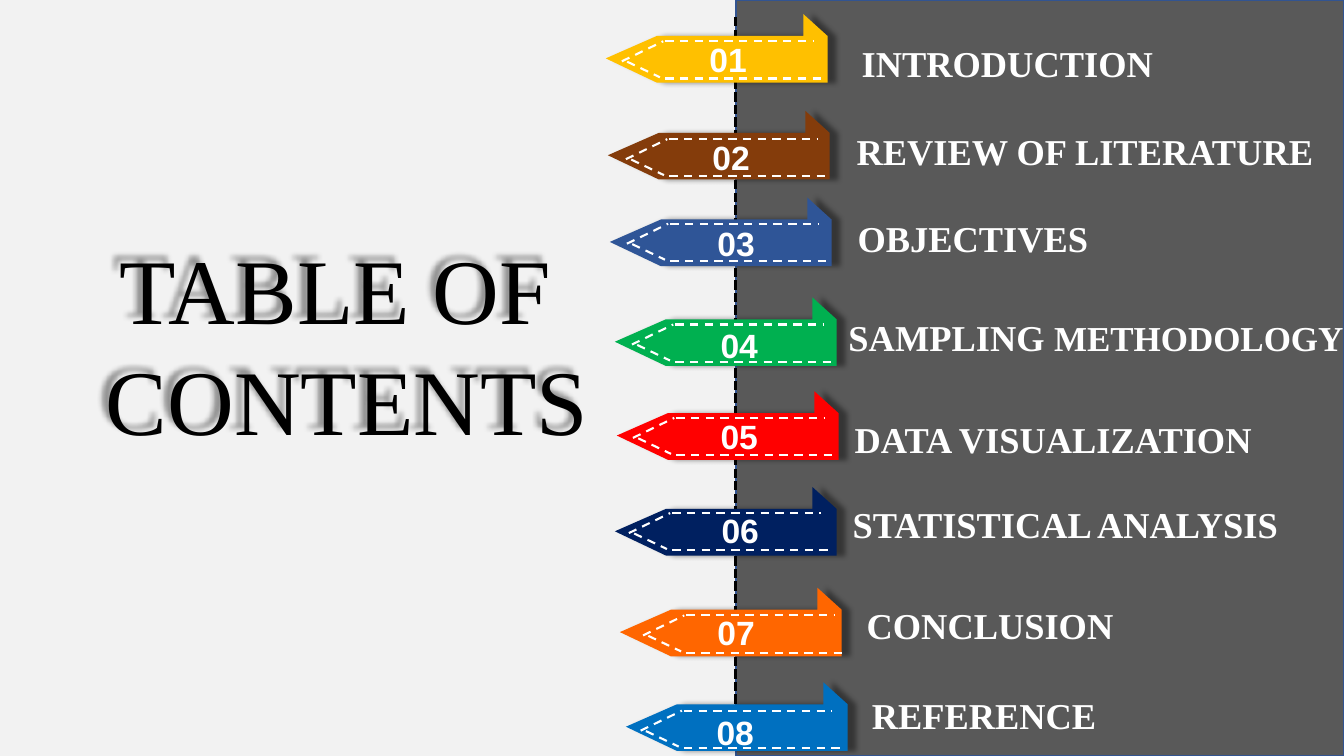
from dataclasses import dataclass

from pptx import Presentation
from pptx.dml.color import RGBColor
from pptx.enum.dml import MSO_LINE
from pptx.enum.shapes import MSO_CONNECTOR, MSO_SHAPE
from pptx.enum.text import MSO_ANCHOR, MSO_AUTO_SIZE, PP_ALIGN
from pptx.oxml.xmlchemy import OxmlElement
from pptx.util import Pt

RECTANGLE = MSO_SHAPE.RECTANGLE
STRAIGHT = MSO_CONNECTOR.STRAIGHT
DASH = MSO_LINE.DASH
SHORT_DASH = MSO_LINE.SQUARE_DOT
TOP = MSO_ANCHOR.TOP
CENTER = PP_ALIGN.CENTER
NO_AUTOFIT = MSO_AUTO_SIZE.NONE

SERIF = "Times New Roman"
SANS = "Arial"
WIDTH, HEIGHT = 960, 540
PANEL_LEFT = 525.6

TAG_OUTLINE = [(0, 31.7), (36.5, 15.7), (141.1, 15.7), (141.1, 0),
               (158.4, 15.7), (158.4, 49), (36.5, 49)]
STITCHES = [(0, 0, 106, 0), (0, 26.6, 113.8, 26.6),
            (-31, 14.3, -1.5, 0), (-27.2, 14.6, -3.8, 25.7)]


@dataclass
class Entry:
    runs: list
    color: str
    tag: tuple
    stitch: tuple
    number: tuple
    label: tuple
    label_width: float


ENTRIES = [
    Entry([("INTRODUCTION", 26)], "FFC000", (432.7, 10), (42.5, 19.5), (67, 14.5), (175.7, 15.9), 239),
    Entry([("REVIEW OF LITERATURE", 26)], "843C0B", (434.2, 79.2), (43.9, 20.2), (67.6, 15.1), (170.6, 9.4), 349.2),
    Entry([("OBJECTIVES", 26)], "2F5597", (435.6, 141.1), (43.2, 18.7), (69.8, 14.4), (169.9, 9.4), 239),
    Entry([("SAMPLING ", 26), ("METHODOLOGY", 25)], "00B050", (439.2, 212.4), (43.2, 19.4), (68.4, 15.8), (159.8, 9.4), 361),
    Entry([("DATA VISUALIZATION", 26)], "FF0000", (440.6, 279.4), (42.5, 19.1), (67, 14.4), (162.8, 15.1), 339.8),
    Entry([("STATISTICAL ANALYSIS", 26)], "002060", (439.2, 347.8), (41, 18.7), (69.1, 12.9), (162.7, 7.2), 341.3),
    Entry([("CONCLUSION", 26)], "FF6600", (442.8, 419.8), (47.5, 19.8), (62.6, 13.6), (169.2, 7.2), 341.3),
    Entry([("REFERENCE", 26)], "0070C0", (447.1, 487.4), (41.5, 20.2), (57.6, 17.3), (168.5, 4.4), 239),
]


def rgb(color):
    return RGBColor.from_string(color)


def add_run(paragraph, text, size, font_name, color, bold):
    run = paragraph.add_run()
    run.text = text
    run.font.size = Pt(size)
    run.font.name = font_name
    run.font.bold = bold
    run.font.color.rgb = rgb(color)


def add_shadow(shape, blur, distance, degrees, opacity):
    shape.shadow.inherit = False
    effects = shape._element.spPr.find(
        "{http://schemas.openxmlformats.org/drawingml/2006/main}effectLst")
    shadow = OxmlElement("a:outerShdw")
    shadow.set("blurRad", str(Pt(blur)))
    shadow.set("dist", str(Pt(distance)))
    shadow.set("dir", str(degrees * 60000))
    shadow.set("algn", "ctr")
    shadow.set("rotWithShape", "0")
    color = OxmlElement("a:srgbClr")
    color.set("val", "000000")
    alpha = OxmlElement("a:alpha")
    alpha.set("val", str(opacity * 1000))
    color.append(alpha)
    shadow.append(color)
    effects.append(shadow)


def add_line(slide, left, top, right, bottom, color, width, dash):
    line = slide.shapes.add_connector(STRAIGHT, Pt(left), Pt(top), Pt(right), Pt(bottom))
    line.line.color.rgb = rgb(color)
    line.line.width = Pt(width)
    line.line.dash_style = dash
    line._element.spPr.append(OxmlElement("a:effectLst"))


def add_panel(slide, left, width, fill, border):
    panel = slide.shapes.add_shape(RECTANGLE, Pt(left), 0, Pt(width), Pt(HEIGHT))
    panel.shadow.inherit = False
    panel.fill.solid()
    panel.fill.fore_color.rgb = rgb(fill)
    panel.line.color.rgb = rgb(border)
    panel.line.width = Pt(1)


def add_backdrop(slide):
    add_panel(slide, 0, WIDTH, "F2F2F2", "F2F2F2")
    add_panel(slide, PANEL_LEFT, WIDTH - PANEL_LEFT, "595959", "325491")
    add_line(slide, PANEL_LEFT, 12.2, PANEL_LEFT, 532, "000000", 2.25, SHORT_DASH)


def place_title(slide, left, top, width, height):
    title = slide.shapes.title
    title.left, title.top, title.width, title.height = Pt(left), Pt(top), Pt(width), Pt(height)
    frame = title.text_frame
    frame.word_wrap = True
    frame.auto_size = NO_AUTOFIT
    frame.vertical_anchor = TOP
    for index, text in enumerate(["TABLE OF ", "CONTENTS"]):
        paragraph = frame.add_paragraph() if index else frame.paragraphs[0]
        paragraph.alignment = CENTER
        add_run(paragraph, text, 66, SERIF, "000000", False)
    add_shadow(title, 4, 8, 225, 40)
    title._element.getparent().append(title._element)


def add_text(slide, left, top, width, height, runs, font_name):
    box = slide.shapes.add_textbox(Pt(left), Pt(top), Pt(width), Pt(height))
    frame = box.text_frame
    frame.word_wrap = True
    frame.margin_right = 0
    for text, size in runs:
        add_run(frame.paragraphs[0], text, size, font_name, "FFFFFF", True)


def add_tag(slide, left, top, color):
    points = [(Pt(left + x), Pt(top + y)) for x, y in TAG_OUTLINE]
    builder = slide.shapes.build_freeform(*points[0])
    builder.add_line_segments(points[1:], close=True)
    tag = builder.convert_to_shape()
    tag.fill.solid()
    tag.fill.fore_color.rgb = rgb(color)
    tag.line.fill.background()
    add_shadow(tag, 4, 6, 0, 40)


def add_entry(slide, position, entry):
    left, top = entry.tag
    add_tag(slide, left, top, entry.color)
    stitch_left, stitch_top = left + entry.stitch[0], top + entry.stitch[1]
    for x1, y1, x2, y2 in STITCHES:
        add_line(slide, stitch_left + x1, stitch_top + y1,
                 stitch_left + x2, stitch_top + y2, "FFFFFF", 1.5, DASH)
    add_text(slide, left + entry.number[0], top + entry.number[1], 51.8, 35,
             [(f"{position:02d}", 24)], SANS)
    add_text(slide, left + entry.label[0], top + entry.label[1], entry.label_width, 38.9,
             entry.runs, SERIF)


def main():
    presentation = Presentation()
    presentation.slide_width = Pt(WIDTH)
    presentation.slide_height = Pt(HEIGHT)
    slide = presentation.slides.add_slide(presentation.slide_layouts[5])
    add_backdrop(slide)
    place_title(slide, -10, 162, 516, 167)
    for position, entry in enumerate(ENTRIES, 1):
        add_entry(slide, position, entry)
    presentation.save("out.pptx")


if __name__ == "__main__":
    main()
